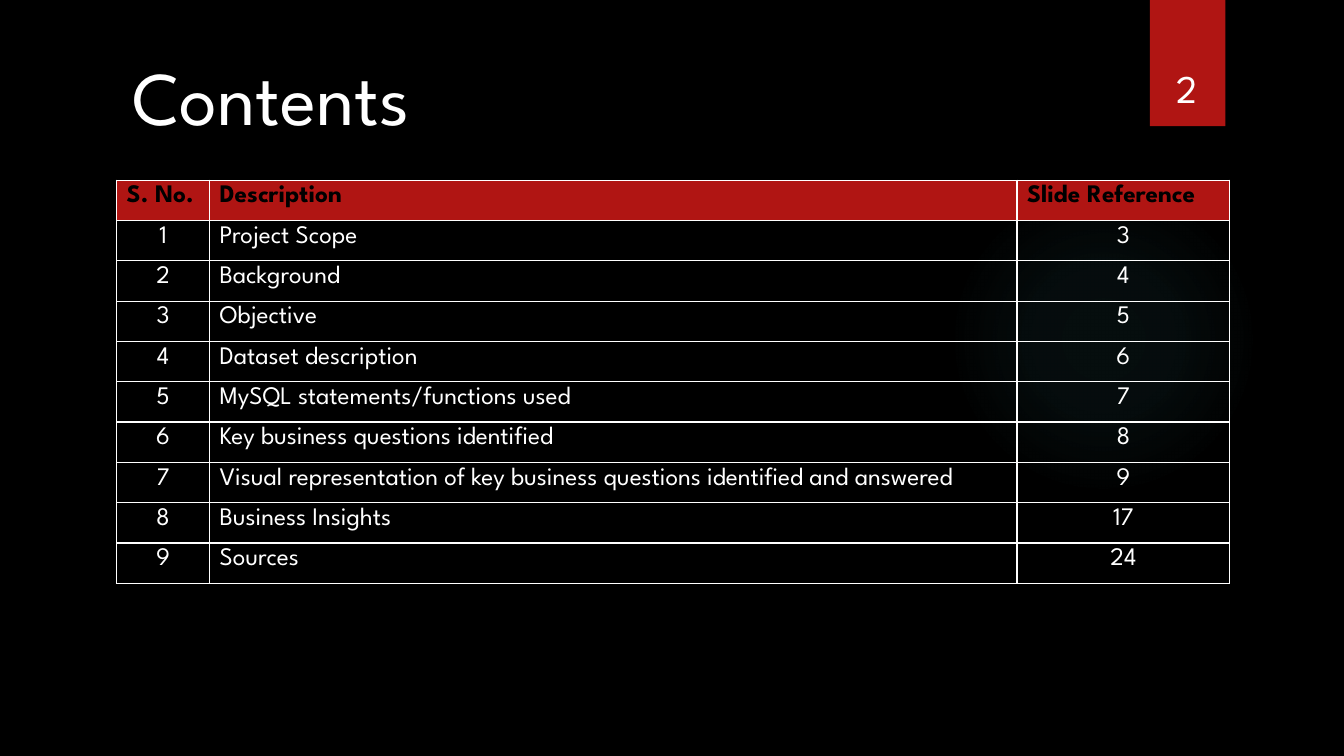
from dataclasses import dataclass

import lxml.etree
import pptx
import pptx.dml.color
import pptx.enum.shapes
import pptx.enum.text
import pptx.oxml
import pptx.oxml.ns
import pptx.util

Cm = pptx.util.Cm
Pt = pptx.util.Pt
ALIGN = pptx.enum.text.PP_ALIGN
ANCHOR = pptx.enum.text.MSO_ANCHOR
SHAPE = pptx.enum.shapes.MSO_SHAPE
NS = 'xmlns:a="http://schemas.openxmlformats.org/drawingml/2006/main"'

FONT = "League Spartan"
BLACK, WHITE, RED, TEAL = "000000", "FFFFFF", "B01513", "50B9C1"


@dataclass
class Box:
    left: float
    top: float
    width: float
    height: float

    def lengths(self) -> tuple:
        return Cm(self.left), Cm(self.top), Cm(self.width), Cm(self.height)


@dataclass
class Column:
    heading: str
    width: float
    align: ALIGN


@dataclass
class Entry:
    description: str
    slide: int


COLUMNS = [
    Column("S. No.", 2.34, ALIGN.CENTER),
    Column("Description", 20.35, ALIGN.LEFT),
    Column("Slide Reference", 5.36, ALIGN.CENTER),
]
ENTRIES = [
    Entry("Project Scope", 3),
    Entry("Background", 4),
    Entry("Objective", 5),
    Entry("Dataset description", 6),
    Entry("MySQL statements/functions used", 7),
    Entry("Key business questions identified", 8),
    Entry("Visual representation of key business questions identified and answered", 9),
    Entry("Business Insights", 17),
    Entry("Sources", 24),
]


def rgb(value: str) -> pptx.dml.color.RGBColor:
    return pptx.dml.color.RGBColor.from_string(value)


def write(tf, text: str, size: float, color: str, align: ALIGN, bold: bool = False) -> None:
    p = tf.paragraphs[0]
    p.alignment = align
    r = p.add_run()
    r.text = text
    for name, value in {"name": FONT, "size": Pt(size), "bold": bold}.items():
        setattr(r.font, name, value)
    r.font.color.rgb = rgb(color)


def add_plain(s, kind: SHAPE, box: Box):
    sp = s.shapes.add_shape(kind, *box.lengths())
    sp.shadow.inherit = False
    sp.line.fill.background()
    return sp


def add_glow(s, box: Box) -> None:
    sp = add_plain(s, SHAPE.OVAL, box)
    stops = "".join(
        f'<a:gs pos="{pos * 1000}"><a:srgbClr val="{TEAL}">'
        f'<a:alpha val="{alpha * 1000}"/></a:srgbClr></a:gs>'
        for pos, alpha in ((0, 7), (36, 6), (69, 0))
    )
    grad = pptx.oxml.parse_xml(
        f'<a:gradFill {NS} rotWithShape="1"><a:gsLst>{stops}</a:gsLst>'
        '<a:path path="circle"><a:fillToRect l="50000" t="50000" r="50000" b="50000"/>'
        '</a:path></a:gradFill>'
    )
    sp.fill.background()
    spPr = sp.element.spPr
    spPr.replace(spPr.find(pptx.oxml.ns.qn("a:noFill")), grad)


def add_borders(cell) -> None:
    tcPr = cell._tc.get_or_add_tcPr()
    for side in ("lnL", "lnR", "lnT", "lnB"):
        ln = lxml.etree.SubElement(tcPr, pptx.oxml.ns.qn(f"a:{side}"), w=str(Pt(1)))
        fill = lxml.etree.SubElement(ln, pptx.oxml.ns.qn("a:solidFill"))
        lxml.etree.SubElement(fill, pptx.oxml.ns.qn("a:srgbClr"), val=WHITE)


def add_contents(s, box: Box) -> None:
    rows = [[c.heading for c in COLUMNS]]
    rows += [[str(n), e.description, str(e.slide)] for n, e in enumerate(ENTRIES, 1)]
    table = s.shapes.add_table(len(rows), len(COLUMNS), *box.lengths()).table
    table.horz_banding = False
    for i, column in enumerate(COLUMNS):
        table.columns[i].width = Cm(column.width)
    for i, row in enumerate(rows):
        header = i == 0
        for j, text in enumerate(row):
            cell = table.cell(i, j)
            add_borders(cell)
            if header:
                cell.fill.solid()
                cell.fill.fore_color.rgb = rgb(RED)
            else:
                cell.fill.background()
            align = ALIGN.LEFT if header else COLUMNS[j].align
            write(cell.text_frame, text, 18, BLACK if header else WHITE, align, header)


def format_frame(tf, wrap: bool) -> None:
    values = {
        "word_wrap": wrap,
        "vertical_anchor": ANCHOR.BOTTOM,
        "auto_size": pptx.enum.text.MSO_AUTO_SIZE.NONE,
    }
    for name, value in values.items():
        setattr(tf, name, value)


def main() -> None:
    prs = pptx.Presentation()
    prs.slide_width, prs.slide_height = Cm(33.87), Cm(19.05)
    s = prs.slides.add_slide(prs.slide_layouts[5])
    s.background.fill.solid()
    s.background.fill.fore_color.rgb = rgb(BLACK)

    add_glow(s, Box(23.9, 4.65, 7.82, 7.82))
    tab = add_plain(s, SHAPE.RECTANGLE, Box(28.98, 0, 1.9, 3.18))
    tab.fill.solid()
    tab.fill.fore_color.rgb = rgb(RED)

    title = s.shapes.title
    title.left, title.top, title.width, title.height = Box(2.34, 1.09, 8.97, 2.57).lengths()
    format_frame(title.text_frame, False)
    write(title.text_frame, "Contents", 54, WHITE, ALIGN.CENTER)

    add_contents(s, Box(2.94, 4.54, 28.05, 10.16))

    number = s.shapes.add_textbox(*Box(28.75, 0.81, 2.34, 2.13).lengths())
    format_frame(number.text_frame, True)
    write(number.text_frame, "2", 28, WHITE, ALIGN.CENTER)

    prs.save("out.pptx")


if __name__ == "__main__":
    main()
